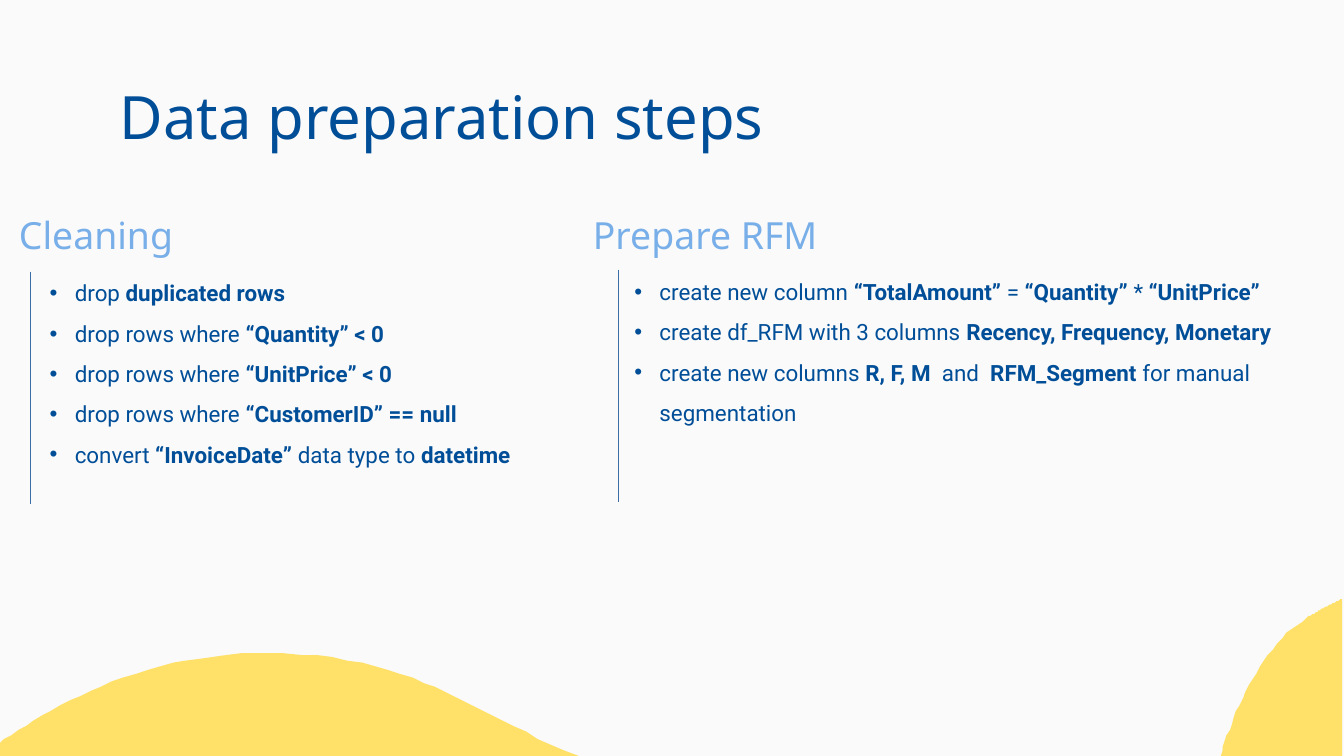
from dataclasses import dataclass

from lxml.etree import SubElement
from pptx import Presentation
from pptx.dml.color import RGBColor
from pptx.enum.shapes import MSO_CONNECTOR
from pptx.enum.text import MSO_ANCHOR, MSO_AUTO_SIZE, PP_ALIGN
from pptx.oxml.ns import qn
from pptx.util import Pt


@dataclass(frozen=True)
class Theme:
    background: str = "FAFAFA"
    wave: str = "FFE169"
    ink: str = "004E98"
    heading: str = "78AFE9"
    rule: str = "3A6EA5"
    display_font: str = "Noto Sans"
    body_font: str = "Roboto"
    title_size: int = 32
    heading_size: int = 20
    body_size: int = 12


THEME = Theme()

# Wave outlines: a 2-point step is a line, a 6-point step a cubic curve
HILL = [(-1.4, 405), (-1.4, 398.9),
        (25.2, 379.4, 74.9, 351.4, 136.1, 349.9),
        (138.2, 349.9, 140.4, 349.9, 142.6, 349.9),
        (222.5, 349.9, 248.4, 380.2, 309.6, 405)]
CORNER = [(653.8, 405),
          (659.5, 385.2, 673.9, 348.5, 697.7, 332.6),
          (704.9, 328.3, 711.4, 324, 718.6, 321.1),
          (718.6, 405)]

# In list items, text between bars is bold
CLEANING = ["drop |duplicated rows|",
            "drop rows where |“Quantity” < 0|",
            "drop rows where |“UnitPrice” < 0|",
            "drop rows where |“CustomerID” == null|",
            "convert |“InvoiceDate”| data type to |datetime|"]
RFM = ["create new column |“TotalAmount” |= |“Quantity” |* |“UnitPrice”|",
       "create df_RFM with 3 columns |Recency, Frequency, Monetary|",
       "create new columns |R, F, M  |and  |RFM_Segment |for manual segmentation"]


def color(code):
    return RGBColor.from_string(code)


def style(font, name, size, code):
    font.name, font.size = name, Pt(size)
    font.color.rgb = color(code)


def set_margins(frame, left, top, right, bottom):
    frame.margin_left, frame.margin_top = Pt(left), Pt(top)
    frame.margin_right, frame.margin_bottom = Pt(right), Pt(bottom)


def place(shape, left, top, width, height):
    shape.left, shape.top = Pt(left), Pt(top)
    shape.width, shape.height = Pt(width), Pt(height)


def curve_points(start, curve, steps=24):
    x0, y0 = start
    x1, y1, x2, y2, x3, y3 = curve
    for step in range(1, steps + 1):
        t = step / steps
        u = 1 - t
        a, b, c, d = u**3, 3 * u * u * t, 3 * u * t * t, t**3
        yield a * x0 + b * x1 + c * x2 + d * x3, a * y0 + b * y1 + c * y2 + d * y3


def add_wave(slide, outline):
    points = [outline[0]]
    for step in outline[1:]:
        points.extend([step] if len(step) == 2 else curve_points(points[-1], step))
    builder = slide.shapes.build_freeform(*points[0], scale=Pt(1))
    builder.add_line_segments(points[1:], close=True)
    wave = builder.convert_to_shape()
    wave.shadow.inherit = False
    wave.fill.solid()
    wave.fill.fore_color.rgb = color(THEME.wave)
    wave.line.fill.background()


def add_title(slide, text):
    title = slide.shapes.title
    place(title, 57, 35.5, 610.5, 45)
    frame = title.text_frame
    frame.auto_size = MSO_AUTO_SIZE.NONE
    frame.vertical_anchor = MSO_ANCHOR.TOP
    set_margins(frame, 7.2, 7.2, 7.2, 7.2)
    paragraph = frame.paragraphs[0]
    paragraph.text = text
    paragraph.alignment = PP_ALIGN.LEFT
    style(paragraph.font, THEME.display_font, THEME.title_size, THEME.ink)


def add_text_frame(slide, left, top, width, height):
    box = slide.shapes.add_textbox(Pt(left), Pt(top), Pt(width), Pt(height))
    box.text_frame.word_wrap = True
    return box.text_frame


def add_heading(slide, text, left):
    frame = add_text_frame(slide, left, 103.7, 172, 33.8)
    frame.vertical_anchor = MSO_ANCHOR.BOTTOM
    set_margins(frame, 0, 0.9, 0, 0)
    paragraph = frame.paragraphs[0]
    paragraph.text = text
    paragraph.alignment = PP_ALIGN.CENTER
    style(paragraph.font, THEME.display_font, THEME.heading_size, THEME.heading)


def add_bullet(paragraph):
    properties = paragraph._p.get_or_add_pPr()
    properties.set("marL", str(Pt(13.5)))
    properties.set("indent", str(-Pt(13.5)))
    bullet_color = SubElement(properties, qn("a:buClr"))
    SubElement(bullet_color, qn("a:srgbClr"), val=THEME.ink)
    SubElement(properties, qn("a:buFont"), typeface="Arial")
    SubElement(properties, qn("a:buChar"), char="•")


def add_steps(slide, items, left, top, width, height):
    frame = add_text_frame(slide, left, top, width, height)
    set_margins(frame, 7.2, 3.6, 7.2, 3.6)
    for index, item in enumerate(items):
        paragraph = frame.add_paragraph() if index else frame.paragraphs[0]
        add_bullet(paragraph)
        paragraph.line_spacing = 1.5
        style(paragraph.font, THEME.body_font, THEME.body_size, THEME.ink)
        for part, text in enumerate(item.split("|")):
            if text:
                run = paragraph.add_run()
                run.text = text
                run.font.bold = part % 2 == 1


def add_rule(slide, x, top):
    rule = slide.shapes.add_connector(
        MSO_CONNECTOR.STRAIGHT, Pt(x), Pt(top), Pt(x), Pt(top + 124.5))
    rule.line.color.rgb = color(THEME.rule)
    rule.line.width = Pt(0.75)
    SubElement(rule._element.spPr, qn("a:effectLst"))


def main():
    deck = Presentation()
    deck.slide_width, deck.slide_height = Pt(720), Pt(405)
    slide = deck.slides.add_slide(deck.slide_layouts[5])
    slide.background.fill.solid()
    slide.background.fill.fore_color.rgb = color(THEME.background)

    # Waves along the bottom edge
    for outline in (HILL, CORNER):
        add_wave(slide, outline)

    add_title(slide, "Data preparation steps")

    # Cleaning column
    add_heading(slide, "Cleaning", -34.5)
    add_rule(slide, 16.5, 145.5)
    add_steps(slide, CLEANING, 19.5, 139, 368, 116.6)

    # RFM column
    add_heading(slide, "Prepare RFM", 291.8)
    add_rule(slide, 331.5, 144.5)
    add_steps(slide, RFM, 332.7, 138.2, 406.8, 94.3)

    deck.save("out.pptx")


if __name__ == "__main__":
    main()
